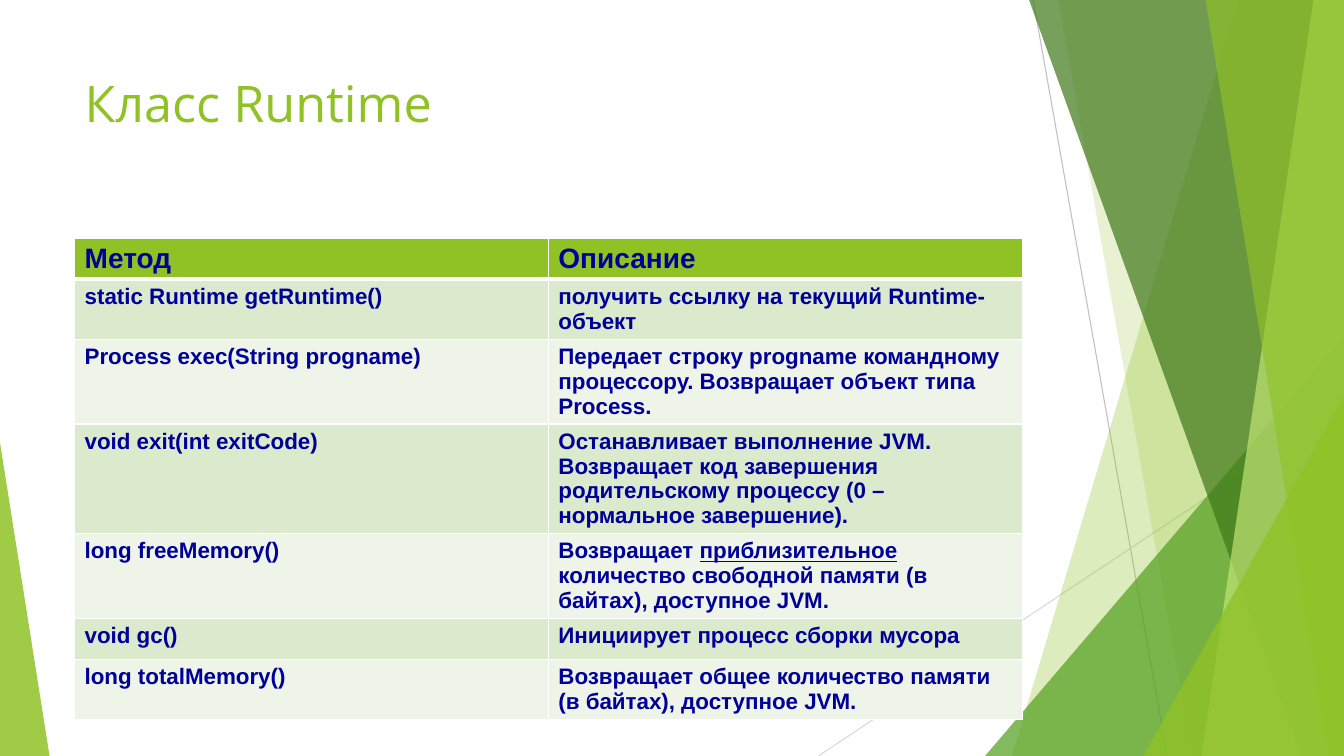
from dataclasses import dataclass
from lxml import etree
from pptx import Presentation
from pptx import util as u
from pptx.dml import color
from pptx.enum import shapes, text
from pptx.oxml import ns

Pt = u.Pt


@dataclass(frozen=True)
class Theme:
    lime: str = "90C226"
    green: str = "54A021"
    dark: str = "3F7819"
    pale: str = "C0E474"
    navy: str = "000099"
    white: str = "FFFFFF"
    bands: tuple = ("DBE9CD", "EEF4E8")
    title_font: str = "Open Sans"
    body_font: str = "Arial"
    title_size: int = 36
    head_size: int = 20
    body_size: int = 16


T = Theme()
W, H = 960, 540

# Content: a cell is a list of (text, underlined) runs
TITLE = "Класс Runtime"
HEADER = ("Метод", "Описание")
METHODS = [
    ("static Runtime getRuntime()",
     [("получить ссылку на текущий Runtime-объект", False)]),
    ("Process exec(String progname) ",
     [("Передает строку progname командному процессору. "
       "Возвращает объект типа Process. ", False)]),
    ("void exit(int exitCode)",
     [("Останавливает выполнение JVM. Возвращает код завершения "
       "родительскому процессу (0 – нормальное завершение).", False)]),
    ("long freeMemory()",
     [("Возвращает ", False), ("приблизительное", True),
      (" количество свободной памяти (в байтах), доступное JVM.", False)]),
    ("void gc()",
     [("Инициирует процесс сборки мусора", False)]),
    ("long totalMemory()",
     [("Возвращает общее количество памяти (в байтах), доступное JVM.", False)]),
]

# Decoration, back to front
RAYS = [((738, 0), (833.8, H), "BFBFBF"), ((W, 290.2), (584.6, H), "D9D9D9")]
# facet: top left x, bottom left x, colour, opacity in percent
# triangle: left, top, width, apex position, colour, opacity in percent
DECOR = [
    ("facet", (884.2, 722.9), T.lime, 30),
    ("facet", (756, 851.8), T.lime, 20),
    ("triangle", (703.6, 240, 256.4, 1), T.green, 72),
    ("facet", (735.1, 929.5), T.dark, 70),
    ("facet", (938.2, 858.2), T.pale, 70),
    ("facet", (861.1, 949), T.lime, 65),
    ("triangle", (816.7, 282.8, 143.3, 1), T.lime, 80),
    ("triangle", (0, 316.2, 35.4, 0), T.lime, 85),
]


def rgb(code):
    return color.RGBColor.from_string(code)


def paint(shape, code, opacity):
    shape.shadow.inherit = False
    shape.fill.solid()
    shape.fill.fore_color.rgb = rgb(code)
    shape.line.fill.background()
    clr = shape._element.spPr.find(ns.qn("a:solidFill"))[0]
    etree.SubElement(clr, ns.qn("a:alpha"), val=str(opacity * 1000))


def add_run(p, words, font, size, code, bold=False, underline=False):
    r = p.add_run()
    r.text = words
    r.font.name, r.font.size = font, Pt(size)
    r.font.color.rgb = rgb(code)
    r.font.bold, r.font.underline = bold, underline


def add_border(cell, side, width):
    ln = etree.SubElement(cell._tc.get_or_add_tcPr(), ns.qn("a:ln" + side),
                          w=str(Pt(width)))
    fill = etree.SubElement(ln, ns.qn("a:solidFill"))
    etree.SubElement(fill, ns.qn("a:srgbClr"), val=T.white)


prs = Presentation()
prs.slide_width, prs.slide_height = Pt(W), Pt(H)
s = prs.slides.add_slide(prs.slide_layouts[5])

# Rays and facets
for (x1, y1), (x2, y2), code in RAYS:
    ray = s.shapes.add_connector(shapes.MSO_CONNECTOR.STRAIGHT,
                                 Pt(x1), Pt(y1), Pt(x2), Pt(y2))
    ray.line.color.rgb = rgb(code)
    ray.line.width = Pt(0.75)
    etree.SubElement(ray._element.spPr, ns.qn("a:effectLst"))

for kind, place, code, opacity in DECOR:
    if kind == "facet":
        top_x, bottom_x = place
        outline = s.shapes.build_freeform(Pt(top_x), 0)
        outline.add_line_segments(
            [(Pt(W), 0), (Pt(W), Pt(H)), (Pt(bottom_x), Pt(H))], close=True)
        sp = outline.convert_to_shape()
    else:
        left, top, width, apex = place
        sp = s.shapes.add_shape(shapes.MSO_SHAPE.ISOSCELES_TRIANGLE,
                                Pt(left), Pt(top), Pt(width), Pt(H - top))
        sp.adjustments[0] = apex
    paint(sp, code, opacity)

# Title
title = s.shapes.title
title.left, title.top, title.width, title.height = map(Pt, (53.3, 48, 676.8, 104))
tf = title.text_frame
tf.word_wrap = True
tf.auto_size = text.MSO_AUTO_SIZE.NONE
tf.vertical_anchor = text.MSO_ANCHOR.TOP
p = tf.paragraphs[0]
p.alignment = text.PP_ALIGN.LEFT
add_run(p, TITLE, T.title_font, T.title_size, T.lime)

# Table of methods: rows grow with their text
rows = [[[(label, False)] for label in HEADER]]
rows += [[[(method, False)], about] for method, about in METHODS]
ROW_H = 29.3
table = s.shapes.add_table(len(rows), len(HEADER), Pt(53.3), Pt(170),
                           Pt(676.8), Pt(ROW_H * len(rows))).table
for i, row in enumerate(rows):
    table.rows[i].height = Pt(ROW_H)
    head = i == 0
    for j, runs in enumerate(row):
        cell = table.cell(i, j)
        for side in "LRTB":
            thick = (head and side == "B") or (i == 1 and side == "T")
            add_border(cell, side, 3 if thick else 1)
        cell.fill.solid()
        cell.fill.fore_color.rgb = rgb(T.lime if head else T.bands[(i - 1) % 2])
        p = cell.text_frame.paragraphs[0]
        for words, underlined in runs:
            add_run(p, words, T.body_font, T.head_size if head else T.body_size,
                    T.navy, bold=True, underline=underlined)

prs.save("out.pptx")
